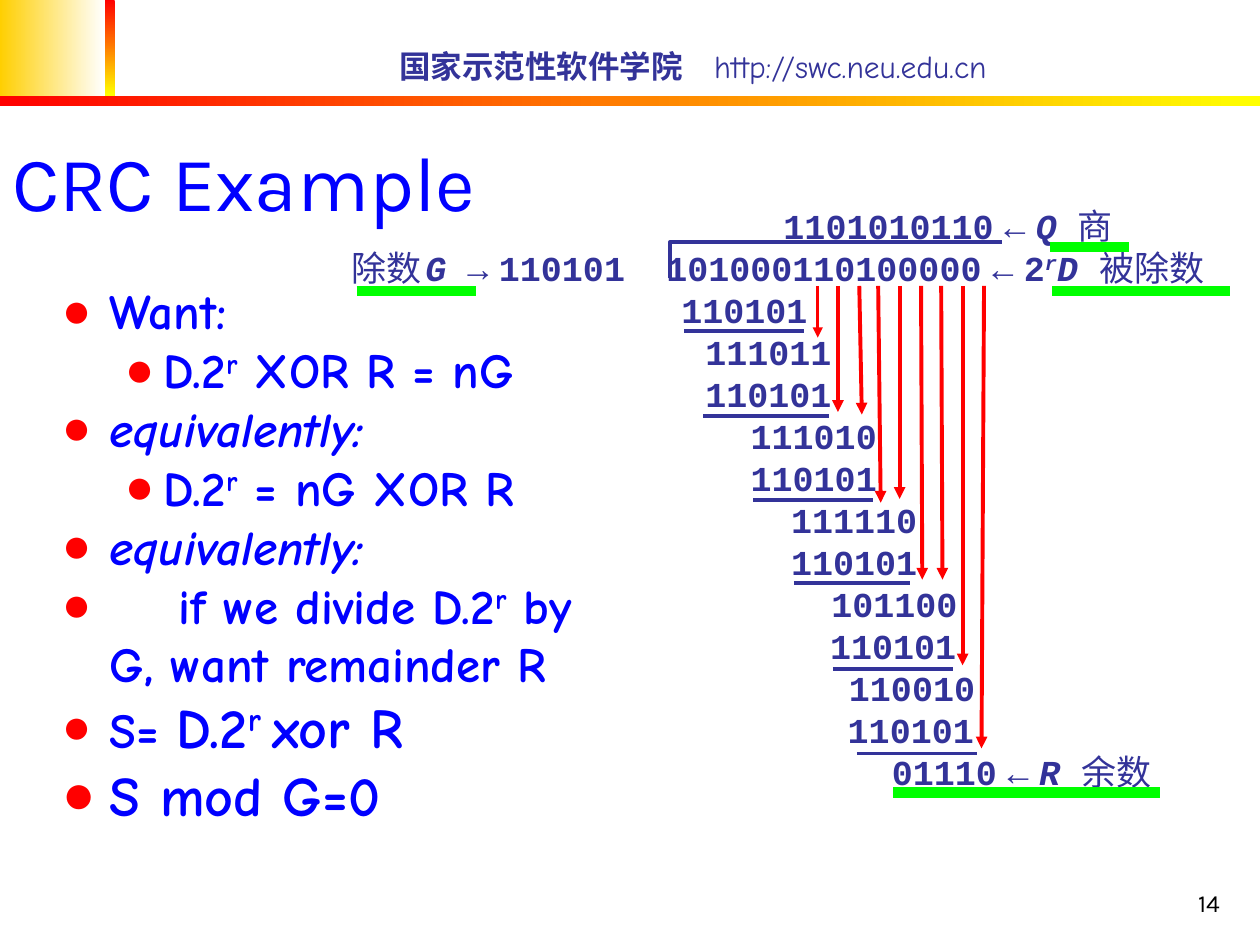
from lxml import etree
from pptx import Presentation
from pptx.dml.color import RGBColor
from pptx.enum import shapes, text
from pptx.oxml import ns
from pptx.util import Inches, Pt

COLORS = {"navy": "333399", "blue": "0000FF", "red": "FF0000", "green": "00FF00",
          "yellow": "FFFF00", "gold": "FFCF01", "white": "FFFFFF", "black": "000000"}


def rgb(name):
    return RGBColor.from_string(COLORS[name])


def add_xml(parent, tag, **attributes):
    return etree.SubElement(parent, ns.qn(tag), attributes)


class SlideBuilder:
    """Holds the style and the current slide."""

    def __init__(self, slide):
        self.slide = slide

    def band(self, left, top, width, height, start, end, angle=0):
        band = self.slide.shapes.add_shape(
            shapes.MSO_SHAPE.RECTANGLE, *map(Inches, (left, top, width, height)))
        band.shadow.inherit = False
        band.line.fill.background()
        band.fill.gradient()
        band.fill.gradient_angle = angle
        for stop, position, color in zip(band.fill.gradient_stops, (0, 1), (start, end)):
            stop.position = position
            stop.color.rgb = rgb(color)

    def line(self, start, end, color, width, arrow=False):
        line = self.slide.shapes.add_connector(
            shapes.MSO_CONNECTOR.STRAIGHT, *map(Inches, start + end))
        line.line.color.rgb = rgb(color)
        line.line.width = Pt(width)
        if arrow:
            add_xml(line.line._get_or_add_ln(), "a:tailEnd", type="triangle")
        add_xml(line._element.spPr, "a:effectLst")

    def outline(self, points, color, width):
        points = [tuple(map(Inches, point)) for point in points]
        builder = self.slide.shapes.build_freeform(*points[0])
        builder.add_line_segments(points[1:], close=False)
        outline = builder.convert_to_shape()
        outline.shadow.inherit = False
        outline.fill.background()
        outline.line.color.rgb = rgb(color)
        outline.line.width = Pt(width)

    def text_box(self, left, top, width, height, anchor=text.MSO_ANCHOR.TOP):
        box = self.slide.shapes.add_textbox(*map(Inches, (left, top, width, height)))
        box.text_frame.word_wrap = True
        box.text_frame.vertical_anchor = anchor
        return box.text_frame

    def placeholder(self, index, left, top, width, height, anchor=text.MSO_ANCHOR.TOP):
        holder = self.slide.placeholders[index]
        holder.left, holder.top, holder.width, holder.height = map(
            Inches, (left, top, width, height))
        holder.text_frame.auto_size = text.MSO_AUTO_SIZE.NONE
        holder.text_frame.vertical_anchor = anchor
        return holder.text_frame

    def paragraph(self, frame, runs, base, indent=0, hanging=0, tabs=(), bullet=None, **layout):
        first = frame.paragraphs[0]
        paragraph = frame.add_paragraph() if first.runs else first
        properties = paragraph._p.get_or_add_pPr()
        properties.set("marL", str(Inches(indent)))
        properties.set("indent", str(Inches(-hanging)))
        if bullet:
            add_xml(add_xml(properties, "a:buClr"), "a:srgbClr", val=COLORS[bullet])
            add_xml(properties, "a:buChar", char="●")
        if tabs:
            stops = add_xml(properties, "a:tabLst")
            for stop in tabs:
                add_xml(stops, "a:tab", pos=str(Inches(stop)), algn="l")
        defaults = {"alignment": text.PP_ALIGN.LEFT, "space_before": Pt(0)}
        for name, value in (defaults | layout).items():
            setattr(paragraph, name, value)
        for words, changes in runs:
            style = base | changes
            run = paragraph.add_run()
            run.text = words
            run.font.color.rgb = rgb(style.pop("color"))
            raised = style.pop("raised", False)
            for name, value in style.items():
                setattr(run.font, name, value)
            if raised:
                run.font._element.set("baseline", "30000")


def main():
    prs = Presentation()
    prs.slide_width, prs.slide_height = Inches(10), Inches(7.5)
    builder = SlideBuilder(prs.slides.add_slide(prs.slide_layouts[1]))
    comic = {"name": "Comic Neue", "color": "blue", "size": Pt(28), "bold": True}
    karla = {"name": "Karla", "color": "blue", "size": Pt(44)}
    digits = {"name": "Courier New", "color": "navy", "size": Pt(20), "bold": True}
    plain, small, italic = {"bold": False}, {"size": Pt(10)}, {"italic": True}
    raised, large = {"raised": True}, {"size": Pt(32)}

    # Header bands and school name
    builder.band(0, 0, 0.83, 0.76, "gold", "white")
    builder.band(0.83, 0, 0.08, 0.76, "red", "yellow", 270)
    builder.band(0, 0.76, 10, 0.08, "red", "yellow")
    school = builder.text_box(3.07, 0.32, 6.7, 0.4, text.MSO_ANCHOR.MIDDLE)
    builder.paragraph(school, [("国家示范性软件学院", {}), ("\thttp://swc.neu.edu.cn", plain)],
                      comic | {"color": "navy", "size": Pt(18)}, tabs=[3.55])

    # Slide number
    number = builder.text_box(7.7, 6.83, 2.08, 0.5, text.MSO_ANCHOR.BOTTOM)
    builder.paragraph(number, [("14", {})], karla | {"color": "black", "size": Pt(14)},
                      alignment=text.PP_ALIGN.RIGHT)

    # Long division: each row is an indent and its runs
    def arrow_label(letter, meaning):
        return [(" ", small), ("←", {}), (" ", small), *letter, (meaning, plain)]

    steps = [(5.41, "110101"), (5.6, "111011"), (5.6, "110101"), (5.96, "111010"),
             (5.96, "110101"), (6.28, "111110"), (6.28, "110101"), (6.6, "101100"),
             (6.59, "110101"), (6.74, "110010"), (6.73, "110101")]
    divisor = [("除数", plain), (" ", small), ("G ", italic), ("→", {}), (" ", small),
               ("110101", {}), ("\t101000110100000", {})]
    power = [("2", {}), ("r", italic | raised), ("D ", italic)]
    rows = [(6.22, [("1101010110", {})] + arrow_label([("Q ", italic)], "商")),
            (2.79, divisor + arrow_label(power, "被除数")),
            *((left, [(bits, {})]) for left, bits in steps),
            (7.08, [("01110", {})] + arrow_label([("R ", italic)], "余数"))]
    text_left = 2.73
    division = builder.text_box(text_left - 0.1, 1.57, 7.37, 4.77)
    for left, runs in rows:
        builder.paragraph(division, runs, digits, indent=left - text_left,
                          tabs=[5.29 - text_left], line_spacing=Pt(24.05))

    # Division bracket
    builder.outline([(5.32, 2.21), (5.32, 1.92), (7.95, 1.92)], "navy", 2.25)

    # Arrows that bring the digits down
    drops = [(6.49, 6.49, 2.68), (6.65, 6.65, 3.27), (6.82, 6.84, 3.29), (6.97, 6.99, 3.99),
             (7.14, 7.14, 3.96), (7.31, 7.32, 4.6), (7.47, 7.48, 4.6), (7.64, 7.64, 5.28),
             (7.81, 7.79, 5.94)]
    for index, (top_x, tip_x, tip_y) in enumerate(drops):
        builder.line((top_x, 2.27), (tip_x, tip_y), "red", 2.25 if index else 1.5, arrow=True)

    # Subtraction rules and green label marks
    rules = [(6.8, 7.75, 5.98), (6.61, 7.56, 5.31), (6.3, 7.22, 4.63),
             (5.98, 6.93, 3.97), (5.58, 6.58, 3.3), (5.43, 6.38, 2.63)]
    marks = [(7.09, 9.21, 6.29), (8.35, 9.76, 2.31), (2.83, 3.78, 2.31), (8.33, 8.96, 1.96)]
    for lines, color, width in ((rules, "navy", 2.25), (marks, "green", 6)):
        for left, right, y in lines:
            builder.line((left, y), (right, y), color, width)

    # Title
    title = builder.placeholder(0, 0, 0.59, 8.52, 1.26, text.MSO_ANCHOR.BOTTOM)
    builder.paragraph(title, [("CRC Example", {})], karla)

    # Bulleted explanation
    points = [
        (0, [("Want:", {})]),
        (1, [("D.2", {}), ("r", raised), (" XOR R = nG", {})]),
        (0, [("equivalently:", italic)]),
        (1, [("D.2", {}), ("r", raised), (" = nG XOR R", {})]),
        (0, [("equivalently:", italic)]),
        (0, [("\tif we divide D.2", {}), ("r", raised), (" by G, want remainder R", {})]),
        (0, [("S= ", {}), ("D.2", large), ("r ", large | raised), ("xor R", large)]),
        (0, [("S mod G=0", large)]),
    ]
    body = builder.placeholder(1, 0.39, 2.18, 4.7, 5)
    for level, runs in points:
        indent, hanging = ((0.38, 0.38), (0.81, 0.31))[level]
        builder.paragraph(body, runs, comic, indent, hanging, tabs=[0.93],
                          bullet="red", level=level)

    prs.save("out.pptx")


if __name__ == "__main__":
    main()
